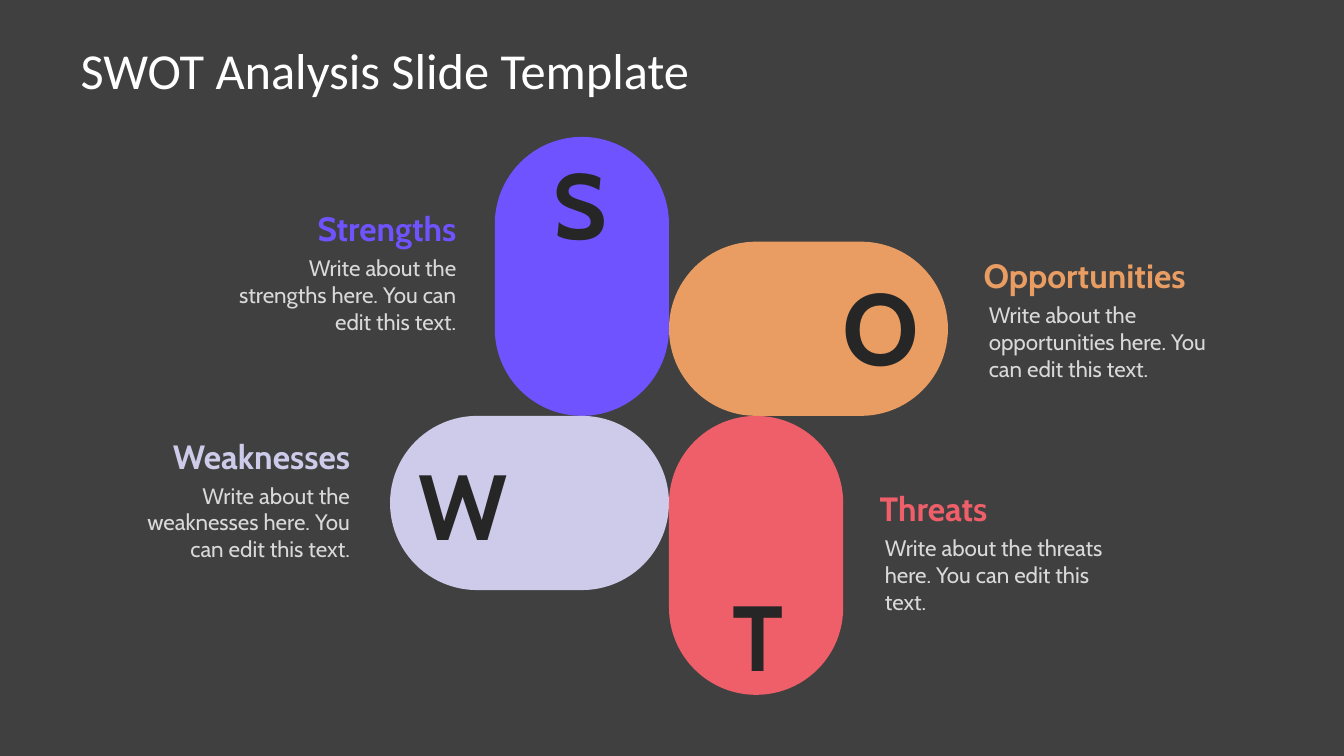
import pptx
import pptx.util
import pptx.dml.color
import pptx.enum.shapes
import pptx.enum.text

Cm = pptx.util.Cm
ALIGN = pptx.enum.text.PP_ALIGN
ANCHOR = pptx.enum.text.MSO_ANCHOR


def color(hex_string):
    return pptx.dml.color.RGBColor.from_string(hex_string)


def add_text(text, left, top, width, height, size, hex_color, font="Cabin",
             bold=False, align=ALIGN.LEFT, anchor=ANCHOR.MIDDLE):
    box = slide.shapes.add_textbox(Cm(left), Cm(top), Cm(width), Cm(height))
    frame = box.text_frame
    frame.word_wrap = True
    frame.margin_left = frame.margin_right = 0
    frame.margin_top = frame.margin_bottom = 0
    frame.vertical_anchor = anchor
    frame.text = text
    paragraph = frame.paragraphs[0]
    paragraph.alignment = align
    run_font = paragraph.runs[0].font
    run_font.name = font
    run_font.size = pptx.util.Pt(size)
    run_font.bold = bold
    run_font.color.rgb = color(hex_color)


presentation = pptx.Presentation()
presentation.slide_width = Cm(33.87)
presentation.slide_height = Cm(19.05)
slide = presentation.slides.add_slide(presentation.slide_layouts[6])
slide.background.fill.solid()
slide.background.fill.fore_color.rgb = color("404040")

# Title
add_text("SWOT Analysis Slide Template", 2.03, 0.76, 29.8, 1.98, 36, "FFFFFF",
         font="Calibri")

# The four pills meet at one point
CENTER_X, CENTER_Y = 16.86, 10.48
LONG, SHORT = 7.03, 4.39
TEXT_WIDTH, HEADING_HEIGHT, BODY_HEIGHT = 5.64, 0.97, 2.3
BODY_OFFSET = 1.14
LETTER_WIDTH, LETTER_HEIGHT = 2.44, 2.3

# heading, color, pill left, top, width, height,
# letter center x, y, letter size, text left, text top, text alignment
quadrants = [
    ("Strengths", "6F53FE", CENTER_X - SHORT, CENTER_Y - LONG, SHORT, LONG,
     14.63, 5.11, 66, 5.86, 5.26, ALIGN.RIGHT),
    ("Opportunities", "E99D62", CENTER_X, CENTER_Y - SHORT, LONG, SHORT,
     22.2, 8.2, 72, 24.92, 6.45, ALIGN.LEFT),
    ("Weaknesses", "CDCBE9", CENTER_X - LONG, CENTER_Y, LONG, SHORT,
     11.68, 12.7, 66, 3.18, 11, ALIGN.RIGHT),
    ("Threats", "EF5F69", CENTER_X, CENTER_Y, SHORT, LONG,
     19.1, 16, 66, 22.3, 12.32, ALIGN.LEFT),
]

for (heading, fill, left, top, width, height, letter_x, letter_y, letter_size,
     text_left, text_top, align) in quadrants:
    # Pill
    pill = slide.shapes.add_shape(
        pptx.enum.shapes.MSO_SHAPE.ROUNDED_RECTANGLE,
        Cm(left), Cm(top), Cm(width), Cm(height))
    pill.adjustments[0] = 0.5
    pill.shadow.inherit = False
    pill.fill.solid()
    pill.fill.fore_color.rgb = color(fill)
    pill.line.fill.background()

    # Initial letter
    add_text(heading[0], letter_x - LETTER_WIDTH / 2, letter_y - LETTER_HEIGHT / 2,
             LETTER_WIDTH, LETTER_HEIGHT, letter_size, "262626",
             bold=True, align=ALIGN.CENTER)

    # Heading, set slightly further out when left aligned, and description
    outdent = 0.13 if align == ALIGN.LEFT else 0
    add_text(heading, text_left - outdent, text_top, TEXT_WIDTH, HEADING_HEIGHT,
             24, fill, bold=True, align=align)
    add_text(f"Write about the {heading.lower()} here. You can edit this text.",
             text_left, text_top + BODY_OFFSET, TEXT_WIDTH, BODY_HEIGHT,
             16, "D9D9D9", align=align, anchor=ANCHOR.TOP)

presentation.save("out.pptx")
